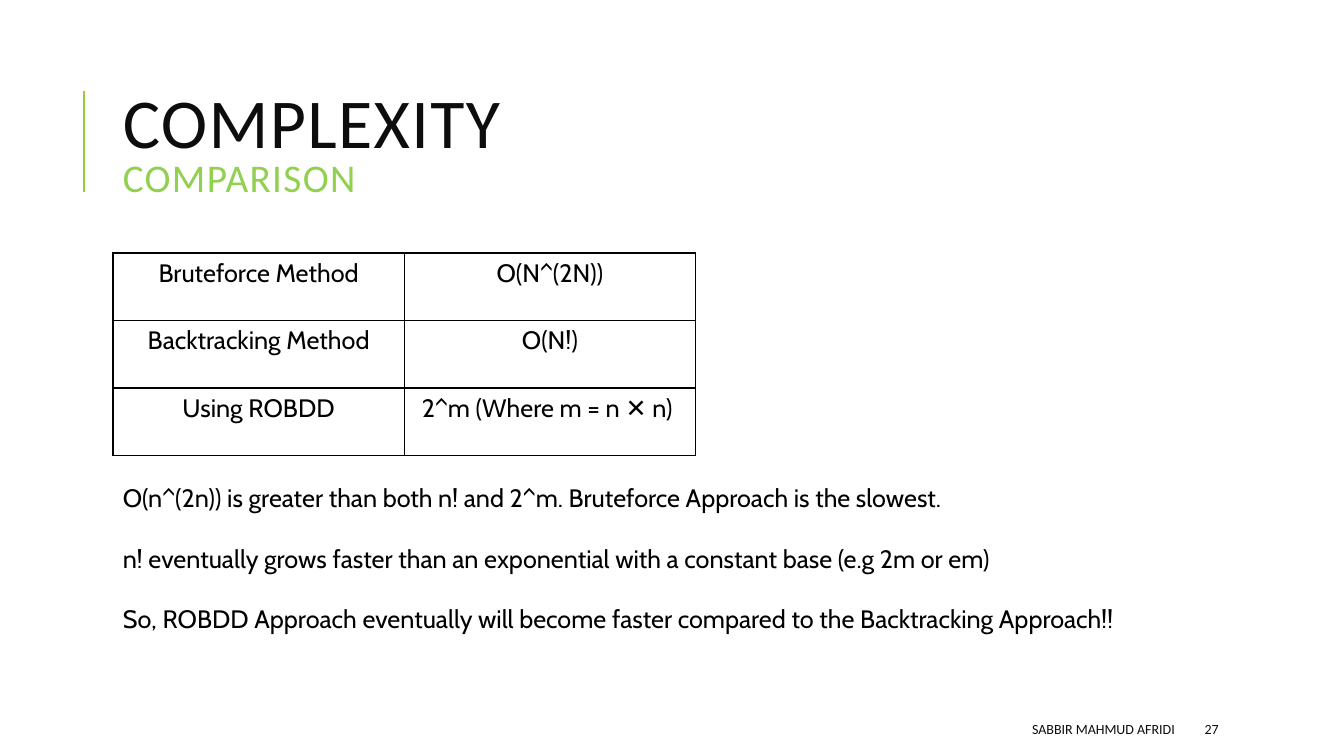
from dataclasses import dataclass

from lxml.etree import SubElement
from pptx import Presentation
from pptx.dml.color import RGBColor
from pptx.enum.shapes import MSO_CONNECTOR as Connector
from pptx.enum.text import MSO_ANCHOR as Anchor, PP_ALIGN as Align
from pptx.oxml.ns import qn
from pptx.slide import Slide
from pptx.table import _Cell as Cell
from pptx.util import Inches, Pt

BLACK, INK, LIME, RULE_GREEN = "000000", "0D0D0D", "92D050", "99CB38"


@dataclass
class Run:
    text: str
    size: float
    font: str
    color: str
    spacing: float = 0


@dataclass
class TextBlock:
    box: tuple[float, float, float, float]
    paragraphs: list[list[Run]]
    anchor: Anchor = Anchor.TOP
    align: Align = Align.LEFT
    line_spacing: float = 1.0
    gap: float = 0


def rgb(value: str) -> RGBColor:
    return RGBColor.from_string(value)


def write_runs(paragraph, runs: list[Run]) -> None:
    """Fill a paragraph, putting each run on its own line."""
    for index, part in enumerate(runs):
        if index:
            paragraph.add_line_break()
        run = paragraph.add_run()
        run.text = part.text
        formats = {"size": Pt(part.size), "name": part.font}
        for name, value in formats.items():
            setattr(run.font, name, value)
        run.font.color.rgb = rgb(part.color)
        if part.spacing:
            run.font._element.set("spc", str(round(part.spacing * 100)))


def draw_text(slide: Slide, block: TextBlock) -> None:
    frame = slide.shapes.add_textbox(*map(Inches, block.box)).text_frame
    frame.word_wrap = True
    frame.vertical_anchor = block.anchor
    formats = {
        "alignment": block.align,
        "line_spacing": block.line_spacing,
        "space_after": Pt(block.gap),
    }
    for index, runs in enumerate(block.paragraphs):
        paragraph = frame.add_paragraph() if index else frame.paragraphs[0]
        for name, value in formats.items():
            setattr(paragraph, name, value)
        write_runs(paragraph, runs)


def draw_title_rule(slide: Slide) -> None:
    x = Inches(0.83)
    rule = slide.shapes.add_connector(
        Connector.STRAIGHT, x, Inches(1.9), x, Inches(0.9))
    rule.line.color.rgb = rgb(RULE_GREEN)
    rule.line.width = Pt(1.5)
    SubElement(rule._element.spPr, qn("a:effectLst"))


def add_borders(cell: Cell, color: str, width: float) -> None:
    properties = cell._tc.get_or_add_tcPr()
    for side in ("lnL", "lnR", "lnT", "lnB"):
        line = SubElement(properties, qn(f"a:{side}"), w=str(Pt(width)))
        fill = SubElement(line, qn("a:solidFill"))
        SubElement(fill, qn("a:srgbClr"), val=color)


def draw_complexities(slide: Slide, rows: list[tuple[str, str]]) -> None:
    table = slide.shapes.add_table(
        len(rows), 2, *map(Inches, (1.12, 2.51, 5.78, 2.01))).table
    table.first_row = table.horz_banding = False
    for r, texts in enumerate(rows):
        for c, text in enumerate(texts):
            cell = table.cell(r, c)
            add_borders(cell, BLACK, 1)
            cell.fill.background()
            paragraph = cell.text_frame.paragraphs[0]
            paragraph.alignment = Align.CENTER
            write_runs(paragraph, [Run(text, 18, "Cabin", BLACK)])


COMPLEXITIES = [
    ("Bruteforce Method", "O(N^(2N))"),
    ("Backtracking Method", "O(N!)"),
    ("Using ROBDD", "2^m (Where m = n ✕ n) "),
]
CONCLUSIONS = [
    "O(n^(2n)) is greater than both n! and 2^m. Bruteforce Approach is the slowest.",
    "n! eventually grows faster than an exponential with a constant base (e.g 2m or em)",
    "So, ROBDD Approach eventually will become faster compared to the Backtracking Approach!!",
]
TEXT_BLOCKS = [
    TextBlock((1.12, 0.64, 10.63, 1.64),
              [[Run("COMPLEXITY", 50, "Calibri", INK, 1),
                Run("COMPARISON", 28, "Calibri", LIME, 1)]],
              anchor=Anchor.MIDDLE, line_spacing=0.8),
    TextBlock((1.12, 4.74, 11.12, 1.62),
              [[Run(text, 18, "Cabin", BLACK)] for text in CONCLUSIONS],
              gap=21.6),
    TextBlock((5.3, 7.08, 6.45, 0.3),
              [[Run("SABBIR MAHMUD AFRIDI", 10, "Calibri", INK)]],
              anchor=Anchor.MIDDLE, align=Align.RIGHT),
    TextBlock((11.85, 7.08, 1.06, 0.3),
              [[Run("27", 10, "Calibri", INK)]], anchor=Anchor.MIDDLE),
]


def main() -> None:
    deck = Presentation()
    deck.slide_width, deck.slide_height = Inches(13.33), Inches(7.5)
    slide = deck.slides.add_slide(deck.slide_layouts[6])
    draw_title_rule(slide)
    draw_complexities(slide, COMPLEXITIES)
    for block in TEXT_BLOCKS:
        draw_text(slide, block)
    deck.save("out.pptx")


if __name__ == "__main__":
    main()
